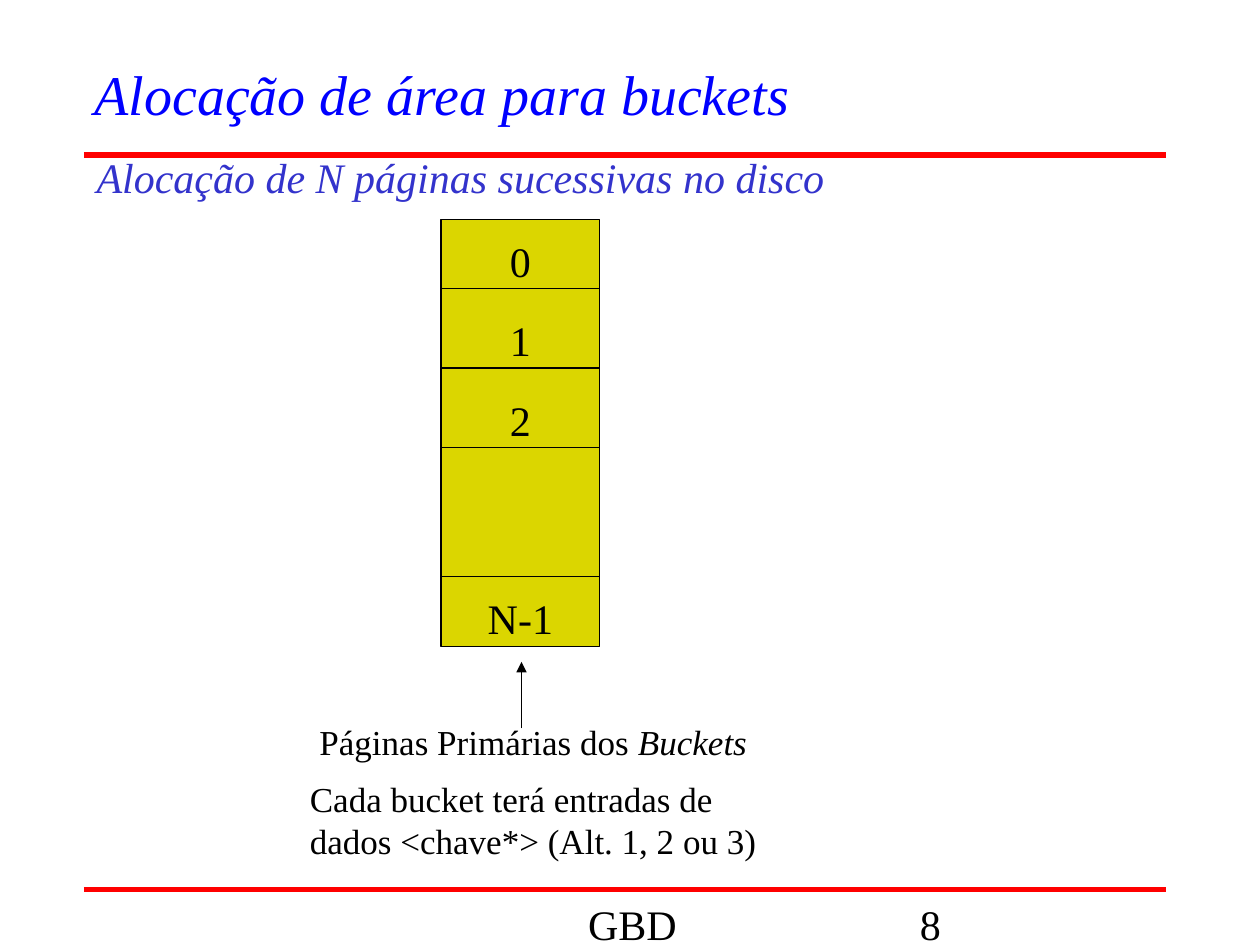
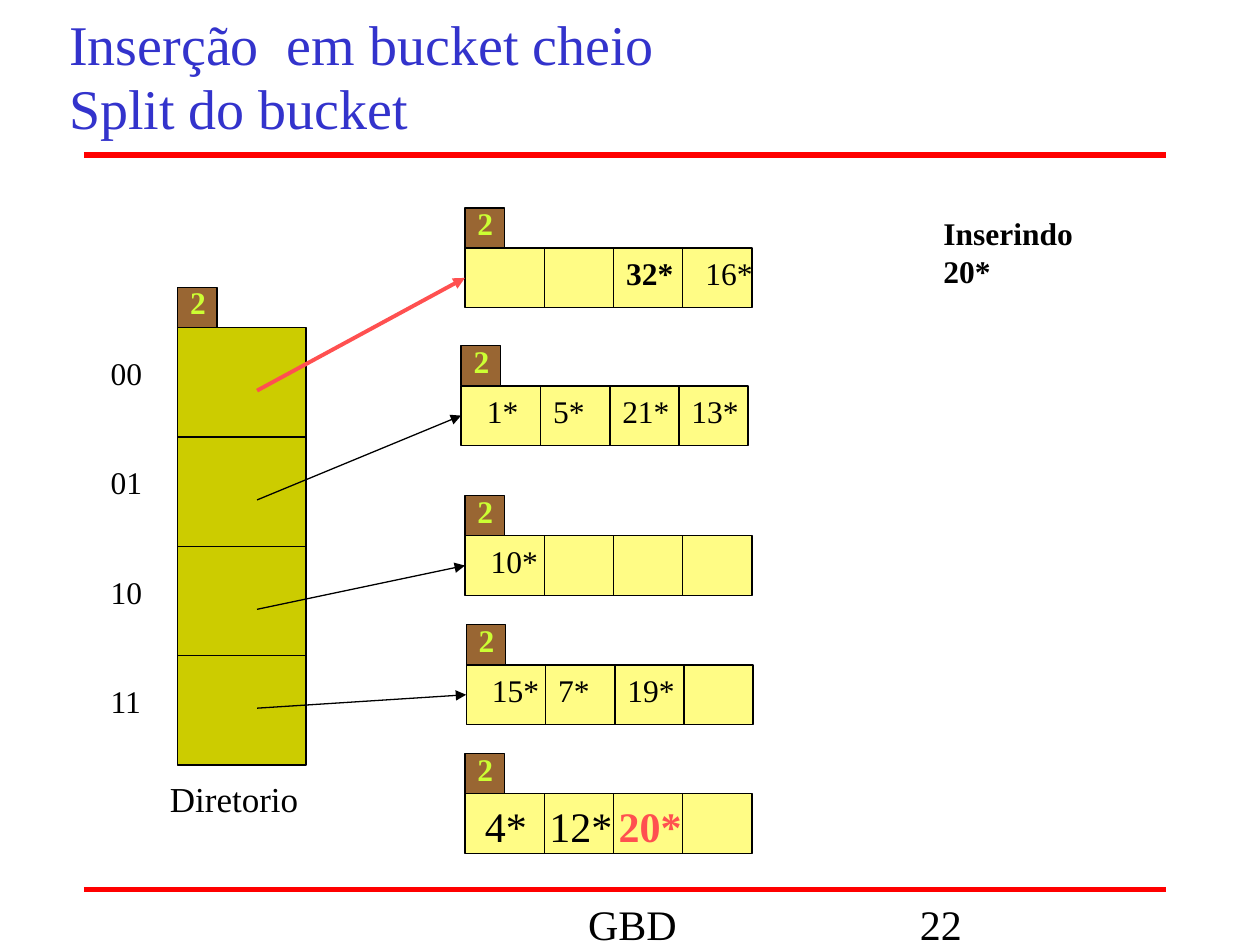
from dataclasses import dataclass

from lxml import etree
from pptx import Presentation
from pptx.dml.color import RGBColor
from pptx.enum.shapes import MSO_CONNECTOR, MSO_SHAPE
from pptx.enum.text import MSO_ANCHOR, MSO_AUTO_SIZE, PP_ALIGN
from pptx.oxml.ns import qn
from pptx.util import Pt

FONT = "Times New Roman"
BLACK = RGBColor(0x00, 0x00, 0x00)
RED = RGBColor(0xFF, 0x00, 0x00)
BLUE = RGBColor(0x00, 0x00, 0xFF)
INDIGO = RGBColor(0x33, 0x33, 0xCC)
PAGE_YELLOW = RGBColor(0xDB, 0xD6, 0x00)
DIRECTORY_OLIVE = RGBColor(0xCC, 0xCC, 0x00)
BUCKET_CREAM = RGBColor(0xFF, 0xFC, 0x85)
DEPTH_BROWN = RGBColor(0x99, 0x66, 0x33)
DEPTH_LIME = RGBColor(0xCC, 0xFF, 0x33)
INSERT_RED = RGBColor(0xFF, 0x50, 0x50)

RECTANGLE = MSO_SHAPE.RECTANGLE
STRAIGHT = MSO_CONNECTOR.STRAIGHT
LEFT, CENTER = PP_ALIGN.LEFT, PP_ALIGN.CENTER
MIDDLE, BOTTOM = MSO_ANCHOR.MIDDLE, MSO_ANCHOR.BOTTOM
FIT_SHAPE, NO_FIT = MSO_AUTO_SIZE.SHAPE_TO_FIT_TEXT, MSO_AUTO_SIZE.NONE
LEFT_SIDE, RIGHT_SIDE = 1, 3

TITLE_ONLY = 5
FIRST_CELL, CELL = 45.5, 39.5
BUCKET_WIDTH, BUCKET_HEIGHT = FIRST_CELL + 3 * CELL, 34


@dataclass
class Entry:
    text: str
    shift: float = 0
    color: RGBColor = BLACK
    bold: bool = False


# Shared helpers
def style_run(run, size, color=BLACK, bold=False, italic=False):
    font = run.font
    font.name, font.size = FONT, Pt(size)
    font.bold, font.italic = bold, italic
    font.color.rgb = color


def add_text(slide, text, left, top, width, height, size,
             align=LEFT, wrap=False, **style):
    box = slide.shapes.add_textbox(Pt(left), Pt(top), Pt(width), Pt(height))
    frame = box.text_frame
    frame.word_wrap = wrap
    frame.auto_size = NO_FIT if wrap else FIT_SHAPE
    frame.text = text
    paragraph = frame.paragraphs[0]
    paragraph.alignment = align
    style_run(paragraph.runs[0], size, **style)
    return frame


def add_box(slide, left, top, width, height, fill):
    box = slide.shapes.add_shape(RECTANGLE, Pt(left), Pt(top), Pt(width), Pt(height))
    box.shadow.inherit = False
    box.fill.solid()
    box.fill.fore_color.rgb = fill
    box.line.color.rgb = BLACK
    box.line.width = Pt(0.75)
    return box


def add_line(slide, x1, y1, x2, y2, color=BLACK, weight=0.75, arrow=False):
    line = slide.shapes.add_connector(STRAIGHT, Pt(x1), Pt(y1), Pt(x2), Pt(y2))
    line.line.color.rgb = color
    line.line.width = Pt(weight)
    properties = line.element.spPr
    if arrow:
        etree.SubElement(properties.find(qn("a:ln")), qn("a:tailEnd"), type="triangle")
    etree.SubElement(properties, qn("a:effectLst"))
    return line


def add_framed_slide(prs, title, number, box, color, anchor, margins=(0, 0), italic=False):
    """Title, red rules and footer."""
    slide = prs.slides.add_slide(prs.slide_layouts[TITLE_ONLY])
    for y in (88.6, 508.3):
        add_line(slide, 48, y, 666, y, RED, 3)

    heading = slide.shapes.title
    heading.left, heading.top, heading.width, heading.height = map(Pt, box)
    frame = heading.text_frame
    frame.text = title
    frame.word_wrap, frame.auto_size = True, NO_FIT
    frame.vertical_anchor = anchor
    frame.margin_left = frame.margin_right = Pt(margins[0])
    frame.margin_top = frame.margin_bottom = Pt(margins[1])
    paragraph = frame.paragraphs[0]
    paragraph.alignment, paragraph.line_spacing = LEFT, 0.95
    for run in paragraph.runs:
        style_run(run, 32, color, italic=italic)

    add_text(slide, "GBD", 329, 510, 112, 22, 24, wrap=True)
    add_text(slide, str(number), 518.5, 510, 145, 22, 24, wrap=True)
    return slide


# Slide 1: primary pages
def add_page_column(slide, left, top, width):
    rows = [("0", 39.6), ("1", 45.4), ("2", 45.4), ("", 73.6), ("N-1", 40)]
    add_box(slide, left, top, width, sum(height for _, height in rows), PAGE_YELLOW)
    bottom = top
    for index, (label, height) in enumerate(rows):
        if index:
            add_line(slide, left, bottom, left + width, bottom)
        bottom += height
        if label:
            add_text(slide, label, left, bottom - 34, width, 36, 24, CENTER, wrap=True)


def add_page_notes(slide, left, top):
    add_line(slide, left + 128, top + 8, left + 128, top - 30, arrow=True)
    caption = add_text(slide, "Páginas Primárias dos ", left + 5.5, top, 263.5, 31.5, 20)
    buckets = caption.paragraphs[0].add_run()
    buckets.text = "Buckets"
    style_run(buckets, 20, italic=True)
    add_text(slide, "Cada bucket terá entradas de dados <chave*> (Alt. 1, 2 ou 3)",
             left, top + 32.4, 279.5, 55.5, 20, wrap=True)


def build_allocation_slide(prs):
    slide = add_framed_slide(prs, "Alocação de área para buckets", 8,
                             (54, 18.7, 610.5, 72.7), BLUE, MIDDLE, italic=True)
    subtitle = add_text(slide, "Alocação de N páginas sucessivas no disco",
                        55.2, 88.6, 610, 36, 24, wrap=True, color=INDIGO, italic=True)
    subtitle.margin_left = subtitle.margin_top = 0
    subtitle.paragraphs[0].line_spacing = 0.95
    add_page_column(slide, 252, 125.3, 90.7)
    add_page_notes(slide, 170, 408.2)


# Slide 2: directory and its buckets
def add_depth_tag(slide, left, owner_top):
    top = owner_top - 23
    add_box(slide, left, top, 22.5, 23, DEPTH_BROWN)
    add_text(slide, "2", left, top - 5.8, 23, 29, 18, color=DEPTH_LIME, bold=True)


def add_directory(slide, left, top, width, row_height):
    """Returns the point in each row where its pointer starts."""
    codes = ["00", "01", "10", "11"]
    body = add_box(slide, left, top, width, row_height * len(codes), DIRECTORY_OLIVE)
    starts = []
    for index, code in enumerate(codes):
        y = top + index * row_height
        if index:
            divider = add_line(slide, left, y, left + width, y)
            if 2 * index == len(codes):
                divider.begin_connect(body, LEFT_SIDE)
                divider.end_connect(body, RIGHT_SIDE)
        add_text(slide, code, left - 45.4, y + 11.5, 32.4, 29, 18)
        starts.append((left + 45.4, y + (30 if code == "11" else 36)))
    add_depth_tag(slide, left, top)
    add_text(slide, "Diretorio", left - 11.5, top + 253.4, 88, 31.5, 20)
    return starts


def add_bucket(slide, left, top, entries, size=18):
    body = add_box(slide, left, top, BUCKET_WIDTH, BUCKET_HEIGHT, BUCKET_CREAM)
    cell_lefts = [left] + [left + FIRST_CELL + CELL * i for i in range(3)]
    for x in cell_lefts[1:]:
        add_line(slide, x, top, x, top + BUCKET_HEIGHT)
    for x, entry in zip(cell_lefts, entries):
        if entry:
            width = 14.4 + size * (len(entry.text) / 2)
            add_text(slide, entry.text, x + entry.shift, top, width, 1.6 * size, size,
                     color=entry.color, bold=entry.bold)
    add_depth_tag(slide, left, top)
    return body


def build_split_slide(prs):
    slide = add_framed_slide(prs, "Inserção  em bucket cheio\vSplit do bucket", 22,
                             (32.4, -5, 648, 90), INDIGO, BOTTOM, margins=(7.2, 3.6))
    starts = add_directory(slide, 101.5, 187.2, 73.4, 62.5)
    first = 7.6
    pointed = [
        (265.7, 141.8, [None, None, Entry("32*", bold=True), Entry("16*", 5.8)]),
        (263.5, 220.5, [Entry("1*", first), Entry("5*"), Entry("21*"), Entry("13*")]),
        (265.7, 306.2, [Entry("10*", first)]),
        (266.4, 380, [Entry("15*", first), Entry("7*"), Entry("19*")]),
    ]
    for index, (start, (left, top, entries)) in enumerate(zip(starts, pointed)):
        bucket = add_bucket(slide, left, top, entries)
        color, weight = (BLACK, 0.75) if index else (INSERT_RED, 2.25)
        pointer = add_line(slide, *start, left, top, color, weight, arrow=True)
        pointer.end_connect(bucket, LEFT_SIDE)

    # Bucket created by the split
    add_bucket(slide, 265.7, 453.6,
               [Entry("4*", 4.3), Entry("12*", -4.3), Entry("20*", -4.3, INSERT_RED, True)],
               size=24)
    add_text(slide, "Inserindo 20*", 532, 118.8, 119.5, 29, 18, bold=True)


def main():
    prs = Presentation()
    prs.slide_width, prs.slide_height = Pt(720), Pt(540)
    build_allocation_slide(prs)
    build_split_slide(prs)
    prs.save("out.pptx")


if __name__ == "__main__":
    main()
